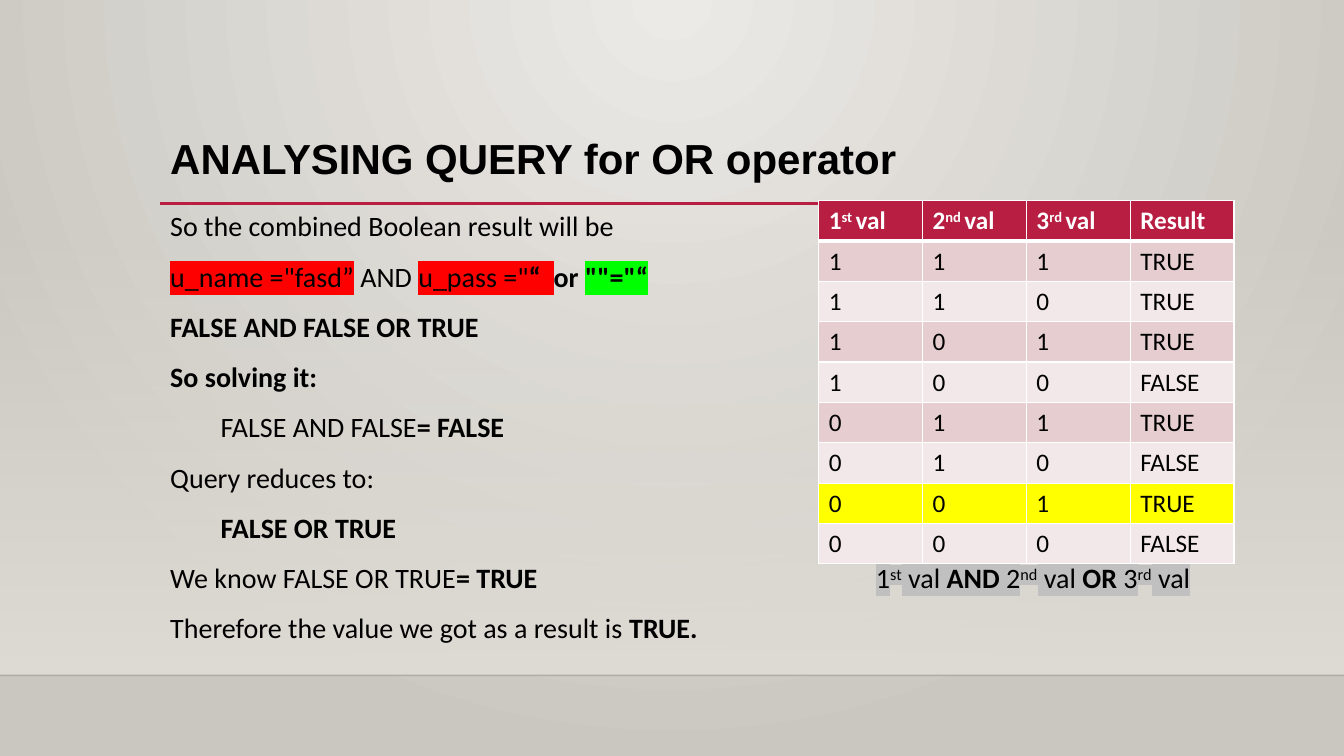
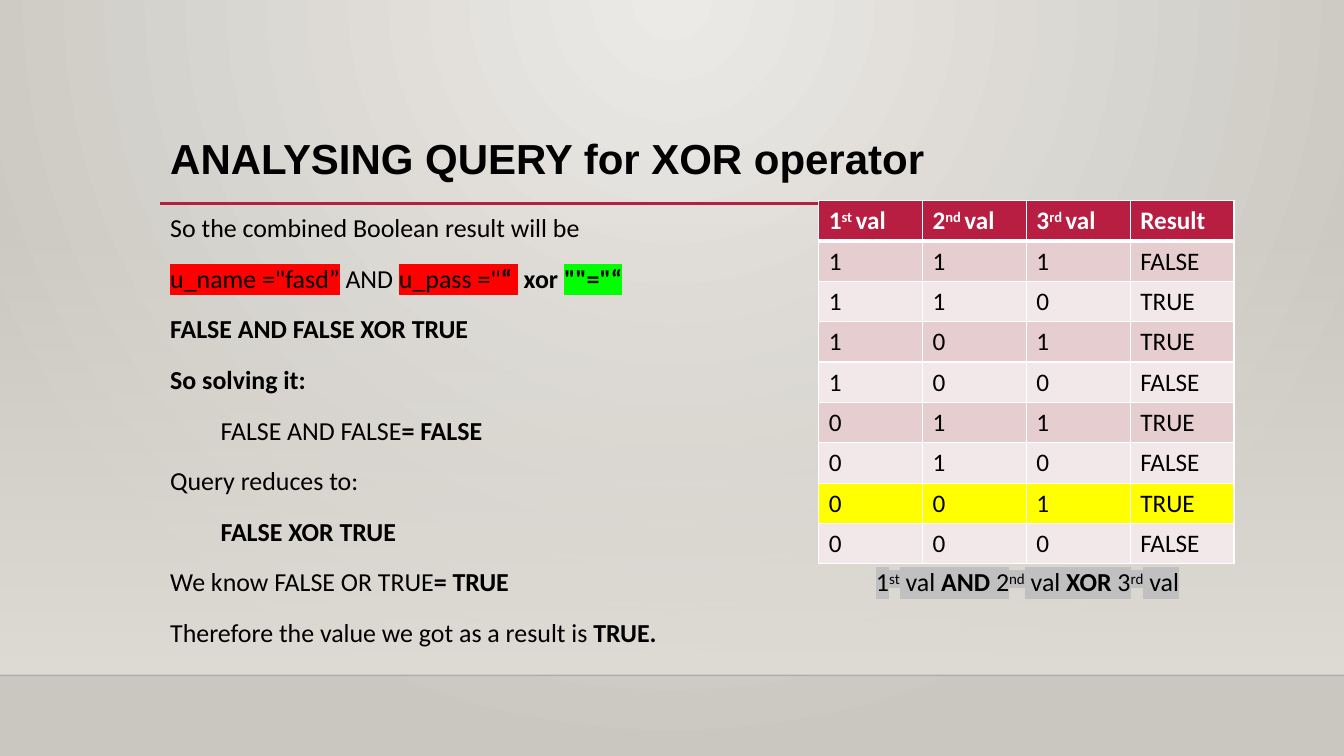
from dataclasses import dataclass
from itertools import product
from typing import Callable

from lxml import etree
from pptx import Presentation
from pptx.dml.color import RGBColor
from pptx.enum import shapes, text
from pptx.oxml import ns
from pptx.util import Inches, Pt

COLORS = {
    "black": "000000", "white": "FFFFFF", "accent": "B71E42", "edge": "000001",
    "glow": "ECEAE7", "stone": "CAC7C1", "band": "DFDBD5",
    "odd": "E6CDCF", "even": "F3E8E9", "active": "FFFF00",
    "false": "FF0000", "true": "00FF00", "rule": "C0C0C0",
}
BODY_FONT, TITLE_FONT = "Calibri", "Arial"
LEFT, WIDTH = 1.59, 10.5
SLIDE_WIDTH, SLIDE_HEIGHT = 13.33, 7.5
BAND_TOP, BAND_BOTTOM = 2.21, 6.7
COLUMN_WIDTH, ROW_HEIGHT = 1.03, 0.4
CAPTION_TAB = 7
ORDINALS = (("1", "st"), ("2", "nd"), ("3", "rd"))
ACTIVE_INPUT = (0, 0, 1)


@dataclass
class Run:
    text: str
    bold: bool = False
    highlight: str | None = None
    raised: bool = False


@dataclass
class Operator:
    name: str
    quote: str  # closing quote of the password value
    joiner: str
    size: float
    line_spacing: float
    combine: Callable[[int, int], int]


OPERATORS = (
    Operator("OR", "“  ", "or ", 20, 1.1, lambda a, b: a | b),
    Operator("XOR", "“ ", " xor ", 18.5, 1.2, lambda a, b: a ^ b),
)


def rgb(color: str) -> RGBColor:
    return RGBColor.from_string(COLORS[color])


def add_element(parent, tag: str, **attributes: str):
    return etree.SubElement(parent, ns.qn(tag), **attributes)


def set_opacity(shape, color_path: str, percent: int) -> None:
    color = shape._element.xpath(color_path)[0]
    add_element(color, "a:alpha", val=str(percent * 1000))


# Text
def add_run(paragraph, content: str, *, size: float, font: str = BODY_FONT,
            color: str = "black", bold: bool = False,
            highlight: str | None = None, raised: bool = False) -> None:
    run = paragraph.add_run()
    run.text = content
    run.font.size = Pt(size)
    run.font.name = font
    run.font.bold = bold
    run.font.color.rgb = rgb(color)
    properties = run._r.get_or_add_rPr()
    if raised:
        properties.set("baseline", "30000")
    if highlight:
        mark = etree.Element(ns.qn("a:highlight"))
        add_element(mark, "a:srgbClr", val=COLORS[highlight])
        properties.find(ns.qn("a:solidFill")).addnext(mark)


def add_text_frame(slide, top: float, height: float):
    box = slide.shapes.add_textbox(
        Inches(LEFT), Inches(top), Inches(WIDTH), Inches(height))
    frame = box.text_frame
    frame.word_wrap = True
    frame.vertical_anchor = text.MSO_ANCHOR.TOP
    return frame


# Shared look
def set_background(master) -> None:
    fill = master.background.fill
    fill.gradient()
    for stop, color in zip(fill.gradient_stops, ("glow", "stone")):
        stop.color.rgb = rgb(color)
    linear = master._element.xpath("./p:cSld/p:bg//a:lin")[0]
    circle = etree.Element(ns.qn("a:path"), path="circle")
    add_element(circle, "a:fillToRect", l="43000", t="0", r="43000", b="100000")
    linear.getparent().replace(linear, circle)


def add_line(slide, left: float, right: float, y: float, color: str, width: float):
    line = slide.shapes.add_connector(
        shapes.MSO_CONNECTOR.STRAIGHT,
        Inches(left), Inches(y), Inches(right), Inches(y))
    line.line.color.rgb = rgb(color)
    line.line.width = Pt(width)
    add_element(line._element.spPr, "a:effectLst")
    return line


def add_scenery(slide) -> None:
    band = slide.shapes.add_shape(
        shapes.MSO_SHAPE.RECTANGLE, 0, Inches(BAND_TOP),
        Inches(SLIDE_WIDTH), Inches(BAND_BOTTOM - BAND_TOP))
    band.shadow.inherit = False
    band.line.fill.background()
    band.fill.gradient()
    band.fill.gradient_angle = 270
    for stop in band.fill.gradient_stops:
        stop.color.rgb = rgb("band")
    set_opacity(band, ".//a:gs[1]/a:srgbClr", 0)

    edge = add_line(slide, 0, SLIDE_WIDTH, BAND_BOTTOM, "edge", 1)
    set_opacity(edge, ".//a:ln//a:srgbClr", 20)
    add_line(slide, LEFT, 12.1, 2.02, "accent", 2.5)


def add_title(slide, content: str) -> None:
    frame = add_text_frame(slide, 1.22, 1.45)
    frame.margin_top = Inches(0.09)
    add_run(frame.paragraphs[0], content, size=30, font=TITLE_FONT, bold=True)


# Worked example
def caption_runs(name: str) -> list[Run]:
    runs = []
    for (digit, suffix), word in zip(ORDINALS, ("AND ", f"{name} ", "")):
        runs += [Run(digit, highlight="rule"),
                 Run(suffix, highlight="rule", raised=True),
                 Run(" val " if word else " val", highlight="rule")]
        if word:
            runs.append(Run(word, bold=True, highlight="rule"))
    return runs


def body_lines(operator: Operator) -> list[list[Run]]:
    name = operator.name
    return [
        [Run("So the combined Boolean result will be")],
        [Run('u_name ="fasd”', highlight="false"), Run(" AND "),
         Run('u_pass ="', highlight="false"),
         Run(operator.quote, bold=True, highlight="false"),
         Run(operator.joiner, bold=True),
         Run('""="“', bold=True, highlight="true")],
        [Run(f"FALSE AND FALSE {name} TRUE", bold=True)],
        [Run("So solving it:", bold=True)],
        [Run("\tFALSE AND FALSE"), Run("= FALSE", bold=True)],
        [Run("Query reduces to:")],
        [Run(f"\tFALSE {name} TRUE", bold=True)],
        [Run("We know FALSE OR TRUE"), Run("= TRUE\t", bold=True),
         *caption_runs(name)],
        [Run("Therefore the value we got as a result is "),
         Run("TRUE.", bold=True)],
    ]


def add_body(slide, operator: Operator) -> None:
    frame = add_text_frame(slide, 1.99, 4.8)
    for index, runs in enumerate(body_lines(operator)):
        paragraph = frame.add_paragraph() if index else frame.paragraphs[0]
        paragraph.line_spacing = operator.line_spacing
        paragraph.space_before = Pt(9.5)
        if runs[-1].highlight == "rule":
            tabs = add_element(paragraph._p.get_or_add_pPr(), "a:tabLst")
            add_element(tabs, "a:tab", pos=str(Inches(CAPTION_TAB)), algn="l")
        for run in runs:
            add_run(paragraph, run.text, size=operator.size, bold=run.bold,
                    highlight=run.highlight, raised=run.raised)


# Truth table
def set_borders(cell, top: float, bottom: float) -> None:
    properties = cell._tc.get_or_add_tcPr()
    widths = {"a:lnL": 1, "a:lnR": 1, "a:lnT": top, "a:lnB": bottom}
    for position, (tag, width) in enumerate(widths.items()):
        border = etree.Element(ns.qn(tag), w=str(Pt(width)))
        fill = add_element(border, "a:solidFill")
        add_element(fill, "a:srgbClr", val=COLORS["white"])
        properties.insert(position, border)


def add_truth_table(slide, operator: Operator) -> None:
    header = [[Run(digit), Run(f"{suffix} ", raised=True), Run("val")]
              for digit, suffix in ORDINALS] + [[Run("Result")]]
    rows, fills = [header], ["accent"]
    for values in product((1, 0), repeat=3):
        first, second, third = values
        result = operator.combine(first & second, third)
        rows.append([[Run(str(value))] for value in values]
                    + [[Run("TRUE" if result else "FALSE")]])
        stripe = "odd" if len(fills) % 2 else "even"
        fills.append("active" if values == ACTIVE_INPUT else stripe)

    table = slide.shapes.add_table(
        len(rows), len(header), Inches(8.12), Inches(1.99),
        Inches(COLUMN_WIDTH * len(header)), Inches(ROW_HEIGHT * len(rows))).table
    for column in table.columns:
        column.width = Inches(COLUMN_WIDTH)
    for row_index, (row, fill) in enumerate(zip(rows, fills)):
        table.rows[row_index].height = Inches(ROW_HEIGHT)
        is_header = row_index == 0
        for column_index, runs in enumerate(row):
            cell = table.cell(row_index, column_index)
            cell.fill.solid()
            cell.fill.fore_color.rgb = rgb(fill)
            set_borders(cell, top=3 if row_index == 1 else 1,
                        bottom=3 if is_header else 1)
            for run in runs:
                add_run(cell.text_frame.paragraphs[0], run.text, size=18,
                        color="white" if is_header else "black",
                        bold=is_header, raised=run.raised)


def main() -> None:
    presentation = Presentation()
    presentation.slide_width = Inches(SLIDE_WIDTH)
    presentation.slide_height = Inches(SLIDE_HEIGHT)
    set_background(presentation.slide_master)
    for operator in OPERATORS:
        slide = presentation.slides.add_slide(presentation.slide_layouts[6])
        add_scenery(slide)
        add_body(slide, operator)
        add_title(slide, f"ANALYSING QUERY for {operator.name} operator")
        add_truth_table(slide, operator)
    presentation.save("out.pptx")


if __name__ == "__main__":
    main()
